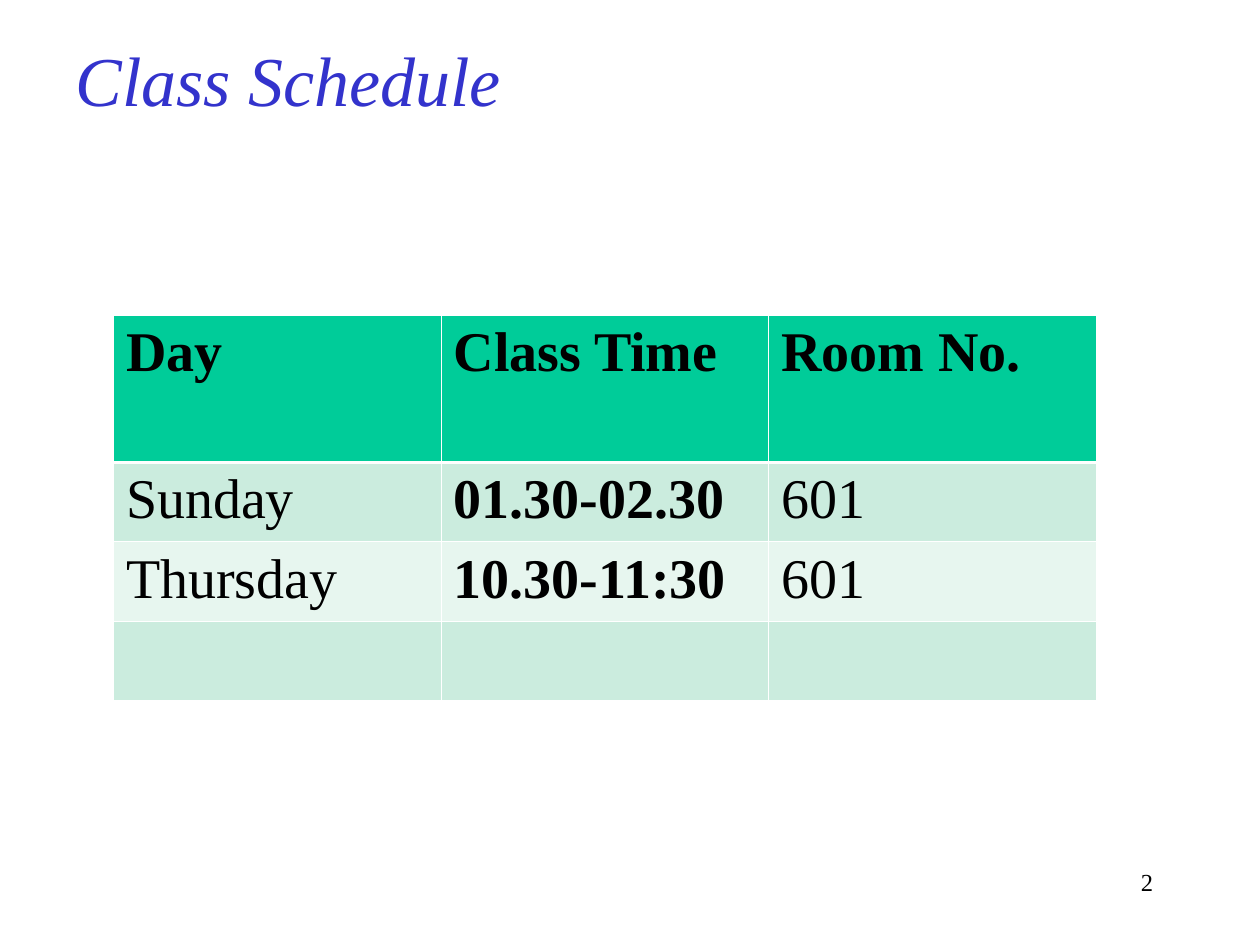
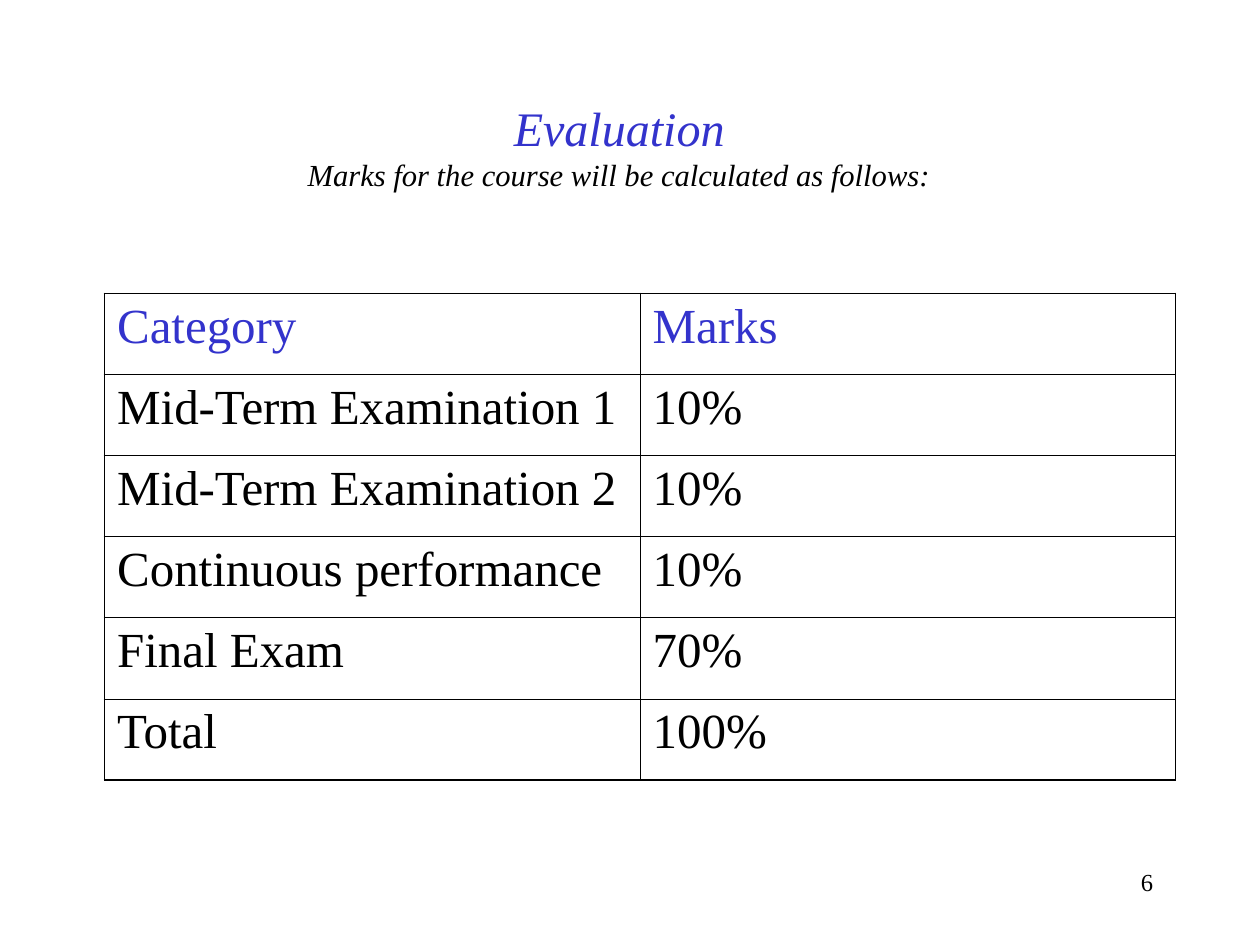
from lxml.etree import SubElement
from pptx import Presentation
from pptx.dml.color import RGBColor
from pptx.enum.text import MSO_ANCHOR, MSO_AUTO_SIZE, PP_ALIGN
from pptx.oxml.ns import qn
from pptx.util import Inches, Pt

FONT = "Times New Roman"
COLORS = {
    "title": "3333CC",
    "text": "000000",
    "paper": "FFFFFF",
    "header": "00CC99",
    "band_dark": "CBECDE",
    "band_light": "E7F6EF",
}
THIN = 0.45
HEADER_RULE = 1.47
FRAME = 1.08


def rgb(color):
    return RGBColor.from_string(COLORS[color])


def style(paragraph, size, color="text", bold=False, italic=False):
    font = paragraph.font
    font.name, font.size = FONT, Pt(size)
    font.bold, font.italic = bold, italic
    font.color.rgb = rgb(color)


def add_title_slide(prs, box, lines, align, bottom_inset=0.05):
    """Add a slide whose title holds lines of (text, size, color)."""
    slide = prs.slides.add_slide(prs.slide_layouts[5])
    title = slide.shapes.title
    title.left, title.top, title.width, title.height = map(Inches, box)
    frame = title.text_frame
    frame.auto_size = MSO_AUTO_SIZE.NONE
    frame.vertical_anchor = MSO_ANCHOR.MIDDLE
    frame.margin_bottom = Inches(bottom_inset)
    frame.text = "\n".join(text for text, _, _ in lines)
    for paragraph, (_, size, color) in zip(frame.paragraphs, lines):
        paragraph.alignment = align
        style(paragraph, size, color, italic=True)
    return slide


def add_page_number(slide, number):
    box = slide.shapes.add_textbox(Inches(7.17), Inches(6.83), Inches(2.08), Inches(0.5))
    box.text_frame.word_wrap = True
    paragraph = box.text_frame.paragraphs[0]
    paragraph.text = str(number)
    paragraph.alignment = PP_ALIGN.RIGHT
    style(paragraph, 14)


def set_borders(cell, color, widths):
    """Draw the left, right, top and bottom borders, widths in points."""
    properties = cell._tc.get_or_add_tcPr()
    for side, width in zip("LRTB", widths):
        line = SubElement(properties, qn(f"a:ln{side}"), w=str(Pt(width)))
        fill = SubElement(line, qn("a:solidFill"))
        SubElement(fill, qn("a:srgbClr"), val=COLORS[color])


def add_grid(slide, left, top, column_width, row_heights, rows):
    column_count = len(rows[0])
    table = slide.shapes.add_table(
        len(rows), column_count, Inches(left), Inches(top),
        Inches(column_width * column_count), Inches(sum(row_heights)),
    ).table
    table.first_row = table.horz_banding = False
    for column in table.columns:
        column.width = Inches(column_width)
    for row, height, texts in zip(table.rows, row_heights, rows):
        row.height = Inches(height)
        for cell, text in zip(row.cells, texts):
            cell.text = text
    return table


def add_schedule(slide):
    rows = [
        ("Day", "Class Time", "Room No."),
        ("Sunday", "01.30-02.30", "601"),
        ("Thursday", "10.30-11:30", "601"),
        ("", "", ""),
    ]
    fills = ("header", "band_dark", "band_light", "band_dark")
    table = add_grid(slide, 0.9, 2.5, 2.6, [1.17] + [0.63] * 3, rows)
    for r, fill in enumerate(fills):
        for c, cell in enumerate(table.rows[r].cells):
            above = HEADER_RULE if r == 1 else THIN
            below = HEADER_RULE if r == 0 else THIN
            set_borders(cell, "paper", (THIN, THIN, above, below))
            cell.fill.solid()
            cell.fill.fore_color.rgb = rgb(fill)
            style(cell.text_frame.paragraphs[0], 32, bold=r == 0 or c == 1)


def add_marks(slide):
    rows = [
        ("Category", "Marks"),
        ("Mid-Term Examination 1", "10%"),
        ("Mid-Term Examination 2", "10%"),
        ("Continuous performance", "10%"),
        ("Final Exam", "70%"),
        ("Total", "100%"),
    ]
    table = add_grid(slide, 0.83, 2.33, 4.25, [3.86 / len(rows)] * len(rows), rows)
    last_row, last_column = len(rows) - 1, len(rows[0]) - 1
    for r, row in enumerate(table.rows):
        for c, cell in enumerate(row.cells):
            on_edge = (c == 0, c == last_column, r == 0, r == last_row)
            set_borders(cell, "text", [FRAME if edge else THIN for edge in on_edge])
            cell.fill.background()
            style(cell.text_frame.paragraphs[0], 28, "title" if r == 0 else "text")


def main():
    prs = Presentation()
    prs.slide_width, prs.slide_height = Inches(10), Inches(7.5)

    schedule = add_title_slide(
        prs, (0.5, 0, 9, 1.25), [("Class Schedule", 40, "title")], PP_ALIGN.LEFT)
    add_schedule(schedule)
    add_page_number(schedule, 2)

    evaluation = add_title_slide(
        prs, (0, 0.67, 9.83, 1.25),
        [("Evaluation", 27.5, "title"),
         ("Marks for the course will be calculated as follows:", 17.5, "text")],
        PP_ALIGN.CENTER, bottom_inset=0.33)
    add_marks(evaluation)
    add_page_number(evaluation, 6)

    prs.save("out.pptx")


if __name__ == "__main__":
    main()
